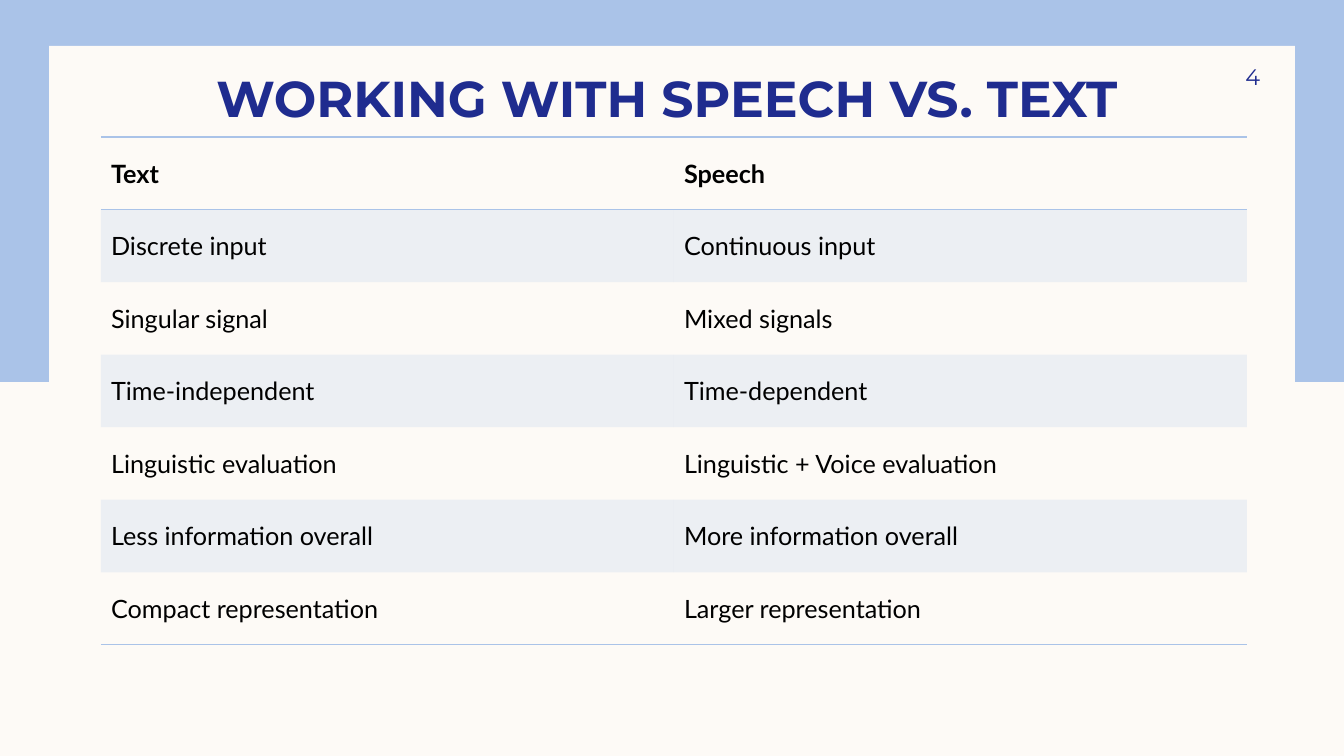
import pptx
import pptx.util
import pptx.dml.color
import pptx.enum.shapes
import pptx.enum.text
import pptx.oxml.ns
from dataclasses import dataclass
from lxml import etree

qn = pptx.oxml.ns.qn
ALIGN = pptx.enum.text.PP_ALIGN
ANCHOR = pptx.enum.text.MSO_ANCHOR
PLAIN = "{2D5ABB26-0587-4C30-8999-92F81FD0307C}"  # table style without grid


@dataclass(frozen=True)
class Theme:
    cream: str = "FDFAF6"
    blue: str = "AAC3E8"
    navy: str = "1F2C8F"
    black: str = "000000"
    head: str = "Montserrat"
    body: str = "Lato"
    title: int = 36
    cell: int = 18
    page: int = 16
    tint: int = 20
    rule: int = 1


THEME = Theme()

ROWS = [
    ("Text", "Speech"),
    ("Discrete input", "Continuous input"),
    ("Singular signal", "Mixed signals"),
    ("Time-independent", "Time-dependent"),
    ("Linguistic evaluation", "Linguistic + Voice evaluation"),
    ("Less information overall", "More information overall"),
    ("Compact representation", "Larger representation"),
]


def px(n):
    return pptx.util.Emu(round(n * 914400 / 100.8))


def rgb(code):
    return pptx.dml.color.RGBColor.from_string(code)


def style(para, face, size, color, bold=False):
    font = para.font
    font.name, font.size, font.bold = face, pptx.util.Pt(size), bold
    font.color.rgb = rgb(color)


def panel(slide, box, color):
    kind = pptx.enum.shapes.MSO_SHAPE.RECTANGLE
    shape = slide.shapes.add_shape(kind, *map(px, box))
    shape.shadow.inherit = False
    shape.fill.solid()
    shape.fill.fore_color.rgb = rgb(color)
    shape.line.fill.background()


def label(slide, box, text, size, align, anchor, pads, bold=False):
    frame = slide.shapes.add_textbox(*map(px, box)).text_frame
    frame.word_wrap = True
    frame.vertical_anchor = anchor
    (frame.margin_left, frame.margin_top,
     frame.margin_right, frame.margin_bottom) = map(px, pads)
    para = frame.paragraphs[0]
    para.text, para.alignment = text, align
    style(para, THEME.head, size, THEME.navy, bold)


def tint(cell):
    cell.fill.solid()
    cell.fill.fore_color.rgb = rgb(THEME.blue)
    color = cell._tc.tcPr.find(".//" + qn("a:srgbClr"))
    etree.SubElement(color, qn("a:alpha"), val=str(THEME.tint * 1000))


def edge(cell, tags):
    props = cell._tc.get_or_add_tcPr()
    width = str(pptx.util.Pt(THEME.rule))
    for i, tag in enumerate(tags):
        line = etree.Element(qn(tag), w=width)
        fill = etree.SubElement(line, qn("a:solidFill"))
        etree.SubElement(fill, qn("a:srgbClr"), val=THEME.blue)
        props.insert(i, line)


def grid(slide, box, rows):
    shape = slide.shapes.add_table(len(rows), len(rows[0]), *map(px, box))
    table = shape.table
    table.first_row = table.horz_banding = False
    table._tbl.tblPr.find(qn("a:tableStyleId")).text = PLAIN
    for r, row in enumerate(rows):
        for c, text in enumerate(row):
            cell = table.cell(r, c)
            cell.vertical_anchor = ANCHOR.MIDDLE
            para = cell.text_frame.paragraphs[0]
            para.text = text
            style(para, THEME.body, THEME.cell, THEME.black, r == 0)
            # Odd rows are banded
            if r % 2:
                tint(cell)
            else:
                cell.fill.background()
            # Rules frame the header and close the table
            if r == 0:
                edge(cell, ["a:lnT", "a:lnB"])
            elif r == len(rows) - 1:
                edge(cell, ["a:lnB"])


def main():
    deck = pptx.Presentation()
    deck.slide_width, deck.slide_height = px(1344), px(756)
    slide = deck.slides.add_slide(deck.slide_layouts[6])

    # Backdrop
    slide.background.fill.solid()
    slide.background.fill.fore_color.rgb = rgb(THEME.cream)
    panel(slide, (0, 0, 1344, 382), THEME.blue)
    panel(slide, (49, 46, 1246, 665), THEME.cream)

    # Title
    label(slide, (101, 60, 1146, 68), "WORKING WITH SPEECH VS. TEXT ",
          THEME.title, ALIGN.CENTER, ANCHOR.BOTTOM, (10, 0, 10, 0), True)

    # Comparison table
    grid(slide, (101, 137, 1146, 508), ROWS)

    # Page number
    label(slide, (1142, 50, 118, 53), "4",
          THEME.page, ALIGN.RIGHT, ANCHOR.MIDDLE, (10, 5, 0, 5))

    deck.save("out.pptx")


if __name__ == "__main__":
    main()
